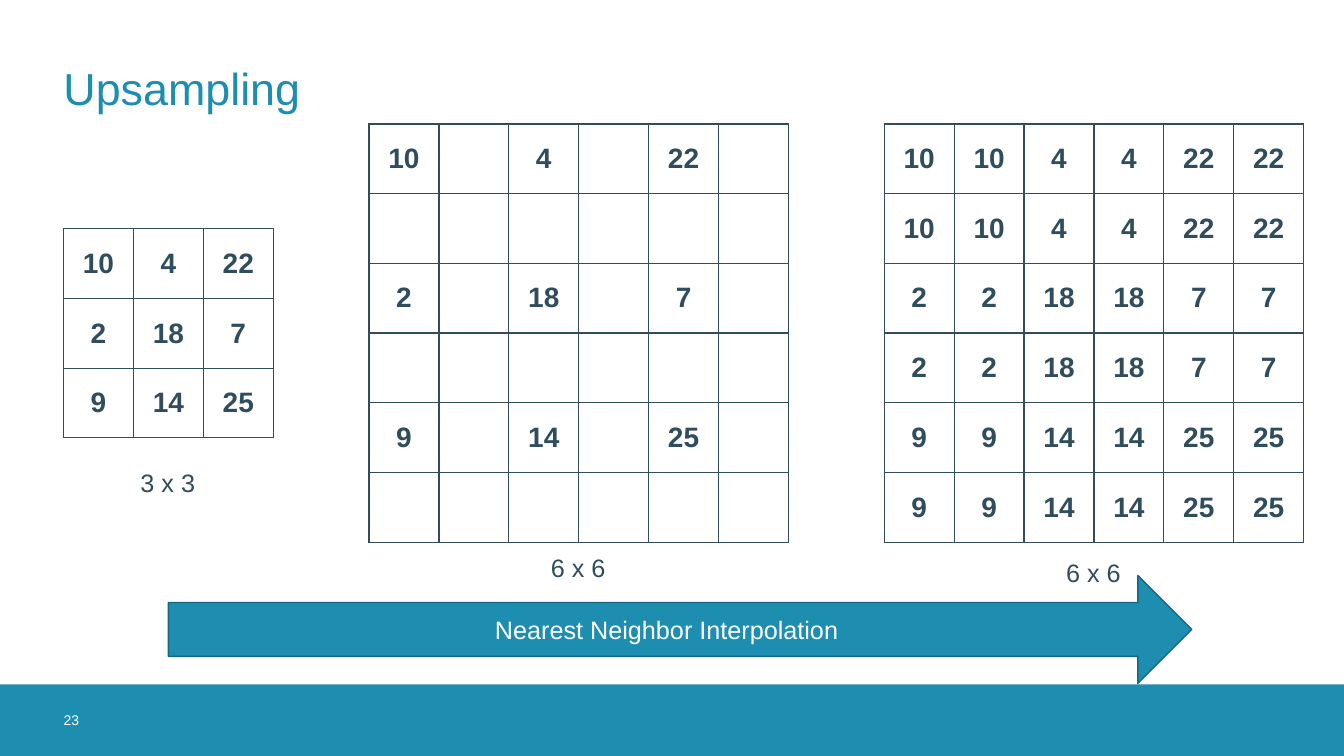
from dataclasses import dataclass

from lxml.etree import SubElement
from pptx import Presentation
from pptx.dml.color import RGBColor as RGB
from pptx.enum.shapes import MSO_SHAPE as SHAPE
from pptx.enum.text import MSO_ANCHOR as ANCHOR, MSO_AUTO_SIZE as FIT, PP_ALIGN as ALIGN
from pptx.oxml.ns import qn
from pptx.util import Inches, Pt

TITLE = "Upsampling"
PAGE = "23"
METHOD = "Nearest Neighbor Interpolation"
SOURCE = [[10, 4, 22], [2, 18, 7], [9, 14, 25]]
SPREAD = [[SOURCE[r // 2][c // 2] if r % 2 == c % 2 == 0 else "" for c in range(6)] for r in range(6)]
FILLED = [[SOURCE[r // 2][c // 2] for c in range(6)] for r in range(6)]
GRIDS = [
    (SOURCE, 0.63, 2.27, "3 x 3", 4.59),
    (FILLED, 8.77, 1.23, "6 x 6", 5.48),
    (SPREAD, 3.66, 1.23, "6 x 6", 5.43),
]
CELL_WIDTH, CELL_HEIGHT = 4.16 / 6, 4.15 / 6
CAPTION_WIDTH, CAPTION_HEIGHT = 0.75, 0.4


@dataclass(frozen=True)
class Theme:
    font: str = "Arial"
    accent: str = "1D8DB0"
    edge: str = "156882"
    ink: str = "2F4D5D"
    paper: str = "FFFFFF"
    title: int = 32
    number: int = 20
    body: int = 18
    page: int = 10


THEME = Theme()


def write(frame, text, size=THEME.body, color=THEME.ink, bold=False, align=ALIGN.LEFT):
    paragraph = frame.paragraphs[0]
    paragraph.alignment = align
    run = paragraph.add_run()
    run.text = str(text)
    run.font.name = THEME.font
    run.font.size = Pt(size)
    run.font.bold = bold
    run.font.color.rgb = RGB.from_string(color)


def add_label(slide, text, left, top, width, height, **style):
    frame = slide.shapes.add_textbox(*map(Inches, (left, top, width, height))).text_frame
    frame.word_wrap = True
    frame.vertical_anchor = ANCHOR.MIDDLE
    frame.margin_left = frame.margin_top = frame.margin_right = frame.margin_bottom = 0
    write(frame, text, **style)


def add_block(slide, kind, left, top, width, height, edge=None):
    block = slide.shapes.add_shape(kind, *map(Inches, (left, top, width, height)))
    block.shadow.inherit = False
    block.fill.solid()
    block.fill.fore_color.rgb = RGB.from_string(THEME.accent)
    if edge:
        block.line.color.rgb = RGB.from_string(edge)
        block.line.width = Pt(1)
    else:
        block.line.fill.background()
    return block


def style_cell(cell):
    properties = cell._tc.get_or_add_tcPr()
    for side in ("a:lnL", "a:lnR", "a:lnT", "a:lnB"):
        border = SubElement(properties, qn(side), w=str(Pt(1)))
        SubElement(SubElement(border, qn("a:solidFill")), qn("a:srgbClr"), val=THEME.ink)
    cell.fill.background()
    cell.vertical_anchor = ANCHOR.MIDDLE
    cell.margin_left = cell.margin_right = Inches(0.07)
    cell.margin_top = cell.margin_bottom = Inches(0.03)


def add_grid(slide, values, left, top, caption, caption_top):
    count = len(values)
    width, height = count * CELL_WIDTH, count * CELL_HEIGHT
    table = slide.shapes.add_table(count, count, *map(Inches, (left, top, width, height))).table
    table.first_row = table.horz_banding = False
    for column in table.columns:
        column.width = Inches(CELL_WIDTH)
    for row, numbers in zip(table.rows, values):
        row.height = Inches(CELL_HEIGHT)
        for cell, number in zip(row.cells, numbers):
            style_cell(cell)
            if number != "":
                write(cell.text_frame, number, size=THEME.number, bold=True, align=ALIGN.CENTER)
    caption_left = left + (width - CAPTION_WIDTH) / 2
    frame = slide.shapes.add_textbox(
        *map(Inches, (caption_left, caption_top, CAPTION_WIDTH, CAPTION_HEIGHT))).text_frame
    frame.word_wrap = False
    frame.auto_size = FIT.SHAPE_TO_FIT_TEXT
    write(frame, caption)


def main():
    deck = Presentation()
    deck.slide_width, deck.slide_height = Inches(13.33), Inches(7.5)
    slide = deck.slides.add_slide(deck.slide_layouts[6])
    add_block(slide, SHAPE.RECTANGLE, 0, 6.79, 13.33, 0.71)
    add_label(slide, TITLE, 0.63, 0.33, 12.07, 1.07, size=THEME.title, color=THEME.accent)
    add_label(slide, PAGE, 0.63, 6.79, 0.71, 0.71, size=THEME.page, color=THEME.paper)
    arrow = add_block(slide, SHAPE.RIGHT_ARROW, 1.67, 5.71, 10.15, 1.07, edge=THEME.edge)
    arrow.text_frame.vertical_anchor = ANCHOR.MIDDLE
    write(arrow.text_frame, METHOD, color=THEME.paper, align=ALIGN.CENTER)
    for grid in GRIDS:
        add_grid(slide, *grid)
    deck.save("out.pptx")


if __name__ == "__main__":
    main()
